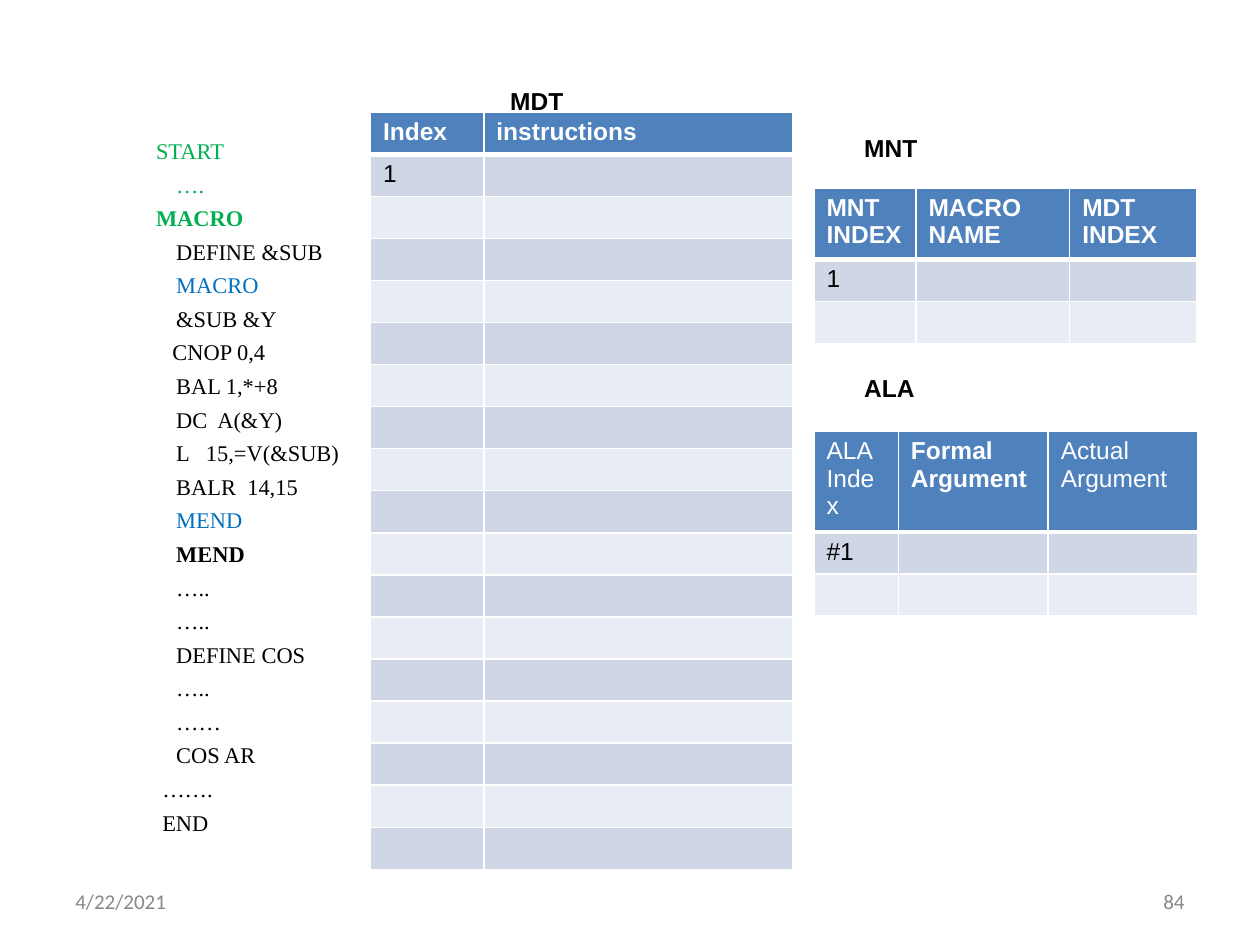
from pptx import Presentation
from pptx.dml.color import RGBColor
from pptx.enum.text import MSO_ANCHOR, PP_ALIGN
from pptx.oxml.xmlchemy import OxmlElement
from pptx.util import Inches, Pt

BLACK = RGBColor(0x00, 0x00, 0x00)
WHITE = RGBColor(0xFF, 0xFF, 0xFF)
GRAY = RGBColor(0x88, 0x88, 0x88)
GREEN = RGBColor(0x00, 0xB0, 0x50)
BLUE = RGBColor(0x00, 0x70, 0xC0)
HEADER_FILL = RGBColor(0x4F, 0x81, 0xBD)
BAND_FILLS = (RGBColor(0xCF, 0xD7, 0xE7), RGBColor(0xE8, 0xEC, 0xF4))

# Code lines: text, indent in inches, colour, bold
CODE_LINES = [
    ("START", 0.34, GREEN, False),
    ("….", 0.5, GREEN, False),
    ("MACRO", 0.34, GREEN, True),
    ("DEFINE &SUB", 0.5, BLACK, False),
    ("MACRO", 0.5, BLUE, False),
    ("&SUB &Y", 0.5, BLACK, False),
    ("CNOP 0,4", 0.47, BLACK, False),
    ("BAL 1,*+8", 0.5, BLACK, False),
    ("DC  A(&Y)", 0.5, BLACK, False),
    ("L   15,=V(&SUB)", 0.5, BLACK, False),
    ("BALR  14,15", 0.5, BLACK, False),
    ("MEND", 0.5, BLUE, False),
    ("MEND", 0.5, BLACK, True),
    ("…..", 0.5, BLACK, False),
    ("…..", 0.5, BLACK, False),
    ("DEFINE COS", 0.5, BLACK, False),
    ("…..", 0.5, BLACK, False),
    ("……", 0.5, BLACK, False),
    ("COS AR", 0.5, BLACK, False),
    ("…….", 0.39, BLACK, False),
    ("END", 0.39, BLACK, False),
]


class SlideBuilder:
    heading_font = "Arial"
    heading_size = 14
    code_font = "Times New Roman"
    code_size = 12.8
    footer_font = "Calibri"
    footer_size = 12
    row_height = 0.32

    def __init__(self, presentation):
        self.slide = presentation.slides.add_slide(presentation.slide_layouts[6])

    def format_runs(self, paragraph, font_name, size, color, bold=False):
        for run in paragraph.runs:
            run.font.name = font_name
            run.font.size = Pt(size)
            run.font.color.rgb = color
            run.font.bold = bold

    def text_box(self, left, top, width, height):
        shape = self.slide.shapes.add_textbox(
            Inches(left), Inches(top), Inches(width), Inches(height))
        shape.text_frame.word_wrap = True
        return shape.text_frame

    def label(self, text, left, top, width):
        text_frame = self.text_box(left, top, width, 0.34)
        text_frame.text = text
        self.format_runs(text_frame.paragraphs[0], self.heading_font,
                         self.heading_size, BLACK, True)

    def footer(self, text, left, alignment):
        text_frame = self.text_box(left, 6.95, 2.33, 0.4)
        text_frame.vertical_anchor = MSO_ANCHOR.MIDDLE
        text_frame.text = text
        paragraph = text_frame.paragraphs[0]
        paragraph.alignment = alignment
        self.format_runs(paragraph, self.footer_font, self.footer_size, GRAY)

    def code(self, lines, left, top, width, height):
        text_frame = self.text_box(left, top, width, height)
        for number, (text, indent, color, bold) in enumerate(lines):
            paragraph = text_frame.add_paragraph() if number else text_frame.paragraphs[0]
            paragraph.text = text
            paragraph.line_spacing = 0.8
            paragraph.space_before = Pt(6.9 if number else 0)
            paragraph._p.get_or_add_pPr().set("marL", str(Inches(indent)))
            self.format_runs(paragraph, self.code_font, self.code_size, color, bold)

    def border(self, cell, side, width):
        line = OxmlElement(f"a:ln{side}")
        line.set("w", str(Pt(width)))
        fill = OxmlElement("a:solidFill")
        color = OxmlElement("a:srgbClr")
        color.set("val", str(WHITE))
        fill.append(color)
        line.append(fill)
        cell._tc.get_or_add_tcPr().append(line)

    def size_empty_paragraph(self, paragraph):
        end_properties = paragraph._p.get_or_add_endParaRPr()
        end_properties.set("sz", str(self.heading_size * 100))
        latin = OxmlElement("a:latin")
        latin.set("typeface", self.heading_font)
        end_properties.append(latin)

    def table(self, left, top, columns, headers, first_index, body_rows, header_height):
        heights = [header_height] + [self.row_height] * body_rows
        table = self.slide.shapes.add_table(
            len(heights), len(columns), Inches(left), Inches(top),
            Inches(sum(columns)), Inches(sum(heights))).table
        table.first_row = table.horz_banding = False
        for column, width in zip(table.columns, columns):
            column.width = Inches(width)
        for row_number, (row, height) in enumerate(zip(table.rows, heights)):
            row.height = Inches(height)
            for column_number, cell in enumerate(row.cells):
                # Borders, thicker below the header
                thickness = {"L": 1, "R": 1, "T": 3 if row_number == 1 else 1,
                             "B": 3 if row_number == 0 else 1}
                for side, width in thickness.items():
                    self.border(cell, side, width)
                cell.fill.solid()
                paragraph = cell.text_frame.paragraphs[0]
                if row_number == 0:
                    text, bold = headers[column_number]
                    color, fill = WHITE, HEADER_FILL
                else:
                    text = first_index if (row_number, column_number) == (1, 0) else ""
                    bold, color = False, BLACK
                    fill = BAND_FILLS[(row_number - 1) % 2]
                cell.fill.fore_color.rgb = fill
                if text:
                    paragraph.text = text
                    self.format_runs(paragraph, self.heading_font,
                                     self.heading_size, color, bold)
                else:
                    self.size_empty_paragraph(paragraph)


def main():
    presentation = Presentation()
    presentation.slide_width = Inches(10)
    presentation.slide_height = Inches(7.5)
    builder = SlideBuilder(presentation)

    # Macro source code
    builder.code(CODE_LINES, 0.8, 1.08, 8.7, 5.62)

    # Footer
    builder.footer("4/22/2021", 0.5, PP_ALIGN.LEFT)
    builder.footer("84", 7.17, PP_ALIGN.RIGHT)

    # Macro definition, macro name and argument list tables
    builder.table(2.94, 0.89, (0.9, 2.45),
                  (("Index", True), ("instructions", True)), "1", 17, 0.31)
    builder.table(6.46, 1.49, (0.81, 1.22, 1.01),
                  (("MNT INDEX", True), ("MACRO NAME", True), ("MDT INDEX", True)),
                  "1", 2, 0.54)
    builder.table(6.46, 3.42, (0.67, 1.19, 1.19),
                  (("ALA Index", False), ("Formal Argument", True),
                   ("Actual Argument", False)), "#1", 2, 0.75)

    # Table labels
    builder.label("MDT", 3.95, 0.63, 1.25)
    builder.label("MNT", 6.76, 1.01, 1.29)
    builder.label("ALA", 6.76, 2.91, 1.29)

    presentation.save("out.pptx")


if __name__ == "__main__":
    main()
